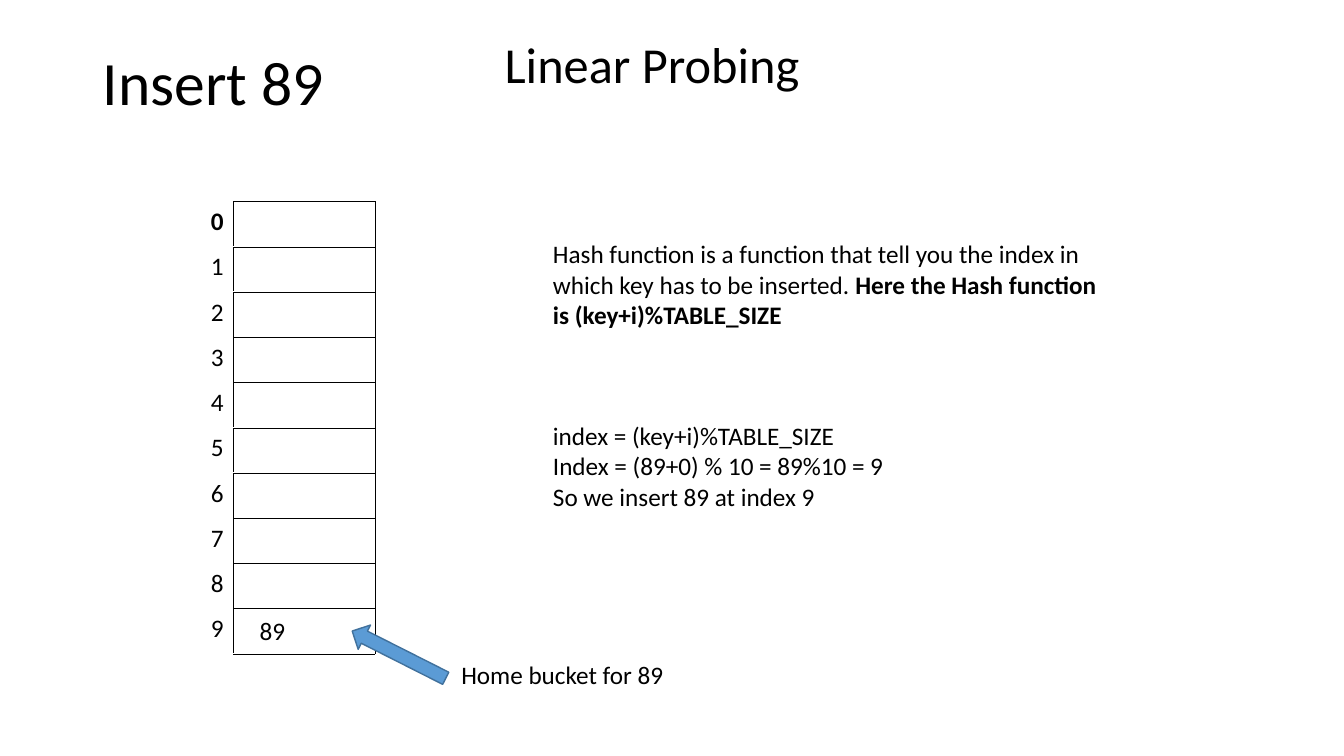
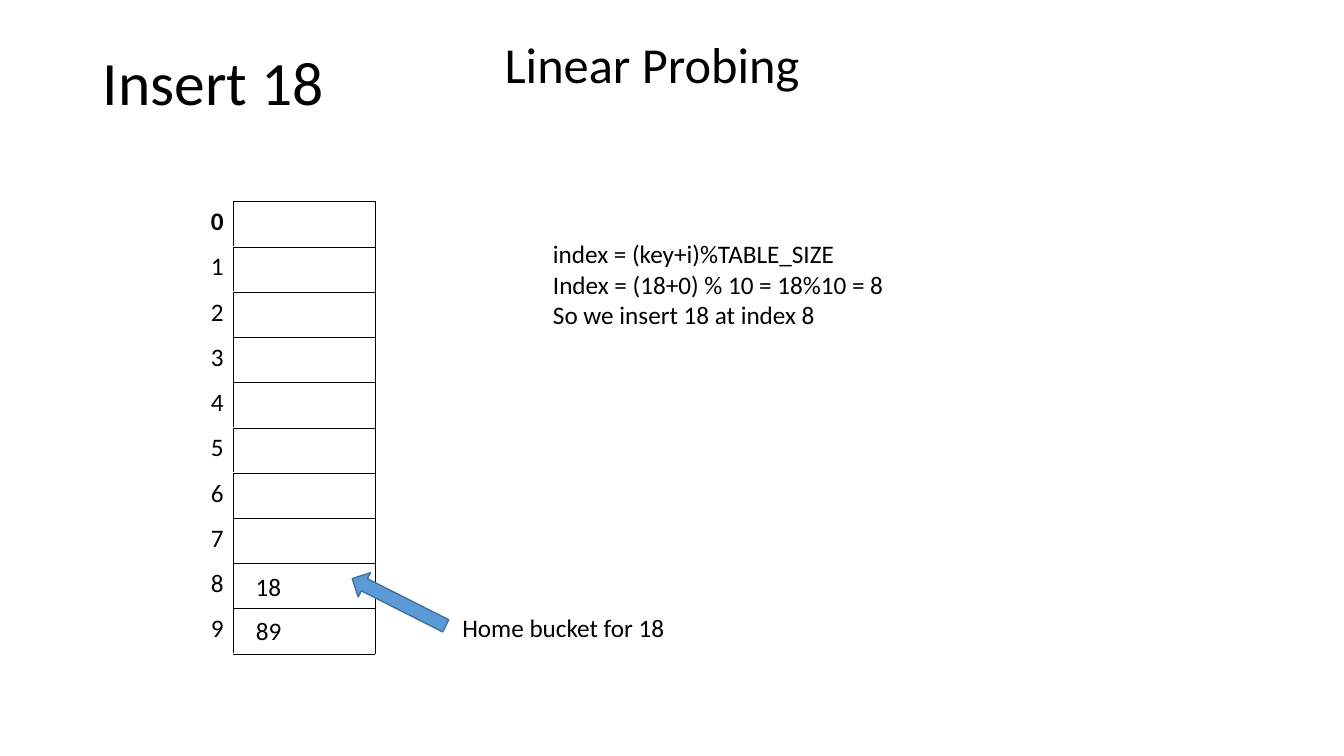
from dataclasses import dataclass
from typing import Any, Sequence

import lxml.etree
import pptx
import pptx.dml.color
import pptx.enum.shapes
import pptx.enum.text
import pptx.oxml.ns
import pptx.util

Inches = pptx.util.Inches
Pt = pptx.util.Pt
RGB = pptx.dml.color.RGBColor


@dataclass(frozen=True)
class Theme:
    font: str = "Calibri"
    text: str = "000000"
    paper: str = "FFFFFF"
    arrow: str = "5B9BD5"
    arrow_line: str = "41719C"
    title_size: int = 44
    heading_size: int = 36
    body_size: int = 18
    border_width: float = 0.45


@dataclass(frozen=True)
class Para:
    text: str
    bold_tail: str = ""
    space_before: float = 0


@dataclass(frozen=True)
class Label:
    text: str
    left: float
    top: float
    width: float


@dataclass(frozen=True)
class Step:
    key: int
    body: tuple[Para, ...]
    body_height: float
    arrow_top: float
    caption: Label
    stored: tuple[Label, ...]


THEME = Theme()
TABLE_SIZE = 10
TABLE_LEFT, TABLE_TOP = 0.92, 2
COLUMN_WIDTH, TABLE_HEIGHT = 1.4, 4.49


def working(key: int, space_before: float = 0) -> tuple[Para, ...]:
    index = key % TABLE_SIZE
    return (
        Para("index = (key+i)%TABLE_SIZE", space_before=space_before),
        Para(f"Index = ({key}+0) % {TABLE_SIZE} = {key}%{TABLE_SIZE} = {index}"),
        Para(f"So we insert {key} at index {index}"),
    )


STEPS = (
    Step(
        key=89,
        body=(
            Para(
                "Hash function is a function that tell you the index in which key has to be inserted. ",
                bold_tail="Here the Hash function is (key+i)%TABLE_SIZE",
            ),
        ) + working(89, space_before=65),
        body_height=2.8,
        arrow_top=6.36,
        caption=Label("Home bucket for 89", 4.48, 6.49, 2.52),
        stored=(Label("89", 2.48, 6.06, 0.6),),
    ),
    Step(
        key=18,
        body=working(18),
        body_height=1,
        arrow_top=5.84,
        caption=Label("Home bucket for 18", 4.49, 6.03, 2.52),
        stored=(Label("89", 2.44, 6.06, 0.61), Label("18", 2.44, 5.62, 0.7)),
    ),
)


def style_font(p: Any, size: int) -> None:
    p.font.name = THEME.font
    p.font.size = Pt(size)
    p.font.color.rgb = RGB.from_string(THEME.text)


def add_title(s: Any, text: str) -> None:
    sp = s.shapes.title
    sp.left, sp.top = Inches(0.92), Inches(0.4)
    sp.width, sp.height = Inches(11.5), Inches(0.9)
    tf = sp.text_frame
    tf.text = text
    tf.vertical_anchor = pptx.enum.text.MSO_ANCHOR.MIDDLE
    tf.auto_size = pptx.enum.text.MSO_AUTO_SIZE.NONE
    p = tf.paragraphs[0]
    p.alignment = pptx.enum.text.PP_ALIGN.LEFT
    p.line_spacing = 0.9
    style_font(p, THEME.title_size)


def add_text(s: Any, left: float, top: float, width: float, height: float,
             paras: Sequence[Para], size: int = THEME.body_size) -> None:
    sp = s.shapes.add_textbox(Inches(left), Inches(top), Inches(width), Inches(height))
    tf = sp.text_frame
    tf.word_wrap = True
    tf.auto_size = pptx.enum.text.MSO_AUTO_SIZE.SHAPE_TO_FIT_TEXT
    for i, para in enumerate(paras):
        p = tf.add_paragraph() if i else tf.paragraphs[0]
        p.add_run().text = para.text
        if para.bold_tail:
            r = p.add_run()
            r.text = para.bold_tail
            r.font.bold = True
        if para.space_before:
            p.space_before = Pt(para.space_before)
        style_font(p, size)


def add_label(s: Any, label: Label) -> None:
    add_text(s, label.left, label.top, label.width, 0.4, [Para(label.text)])


def add_borders(cell: Any, sides: str) -> None:
    qn = pptx.oxml.ns.qn
    tc_pr = cell._tc.get_or_add_tcPr()
    for side in sides:
        ln = lxml.etree.SubElement(tc_pr, qn(f"a:ln{side}"), w=str(Pt(THEME.border_width)))
        fill = lxml.etree.SubElement(ln, qn("a:solidFill"))
        lxml.etree.SubElement(fill, qn("a:srgbClr"), val=THEME.text)


def add_buckets(s: Any) -> None:
    frame = s.shapes.add_table(
        TABLE_SIZE, 2, Inches(TABLE_LEFT), Inches(TABLE_TOP),
        Inches(2 * COLUMN_WIDTH), Inches(TABLE_HEIGHT))
    table = frame.table
    table.first_row = table.horz_banding = False
    for index in range(TABLE_SIZE):
        number, bucket = table.cell(index, 0), table.cell(index, 1)
        number.text = str(index)
        add_borders(number, "R")
        add_borders(bucket, "LRTB")
        for cell in (number, bucket):
            cell.fill.solid()
            cell.fill.fore_color.rgb = RGB.from_string(THEME.paper)
            style_font(cell.text_frame.paragraphs[0], THEME.body_size)
        p = number.text_frame.paragraphs[0]
        p.alignment = pptx.enum.text.PP_ALIGN.RIGHT
        p.font.bold = index == 0


def add_arrow(s: Any, top: float) -> None:
    sp = s.shapes.add_shape(
        pptx.enum.shapes.MSO_SHAPE.LEFT_ARROW,
        Inches(3.44), Inches(top), Inches(1.04), Inches(0.27))
    sp.rotation = 26.8
    sp.shadow.inherit = False
    sp.fill.solid()
    sp.fill.fore_color.rgb = RGB.from_string(THEME.arrow)
    sp.line.color.rgb = RGB.from_string(THEME.arrow_line)
    sp.line.width = Pt(1)


def add_step(prs: Any, step: Step) -> None:
    s = prs.slides.add_slide(prs.slide_layouts.get_by_name("Title Only"))
    add_title(s, f"Insert {step.key}")
    add_buckets(s)
    add_text(s, 5.39, 2.32, 5.79, step.body_height, step.body)
    add_arrow(s, step.arrow_top)
    for label in (step.caption, *step.stored):
        add_label(s, label)
    add_text(s, 4.91, 0.28, 4.62, 0.7, [Para("Linear Probing")], THEME.heading_size)


def main() -> None:
    prs = pptx.Presentation()
    prs.slide_width, prs.slide_height = Inches(13.34), Inches(7.5)
    for step in STEPS:
        add_step(prs, step)
    prs.save("out.pptx")


if __name__ == "__main__":
    main()
